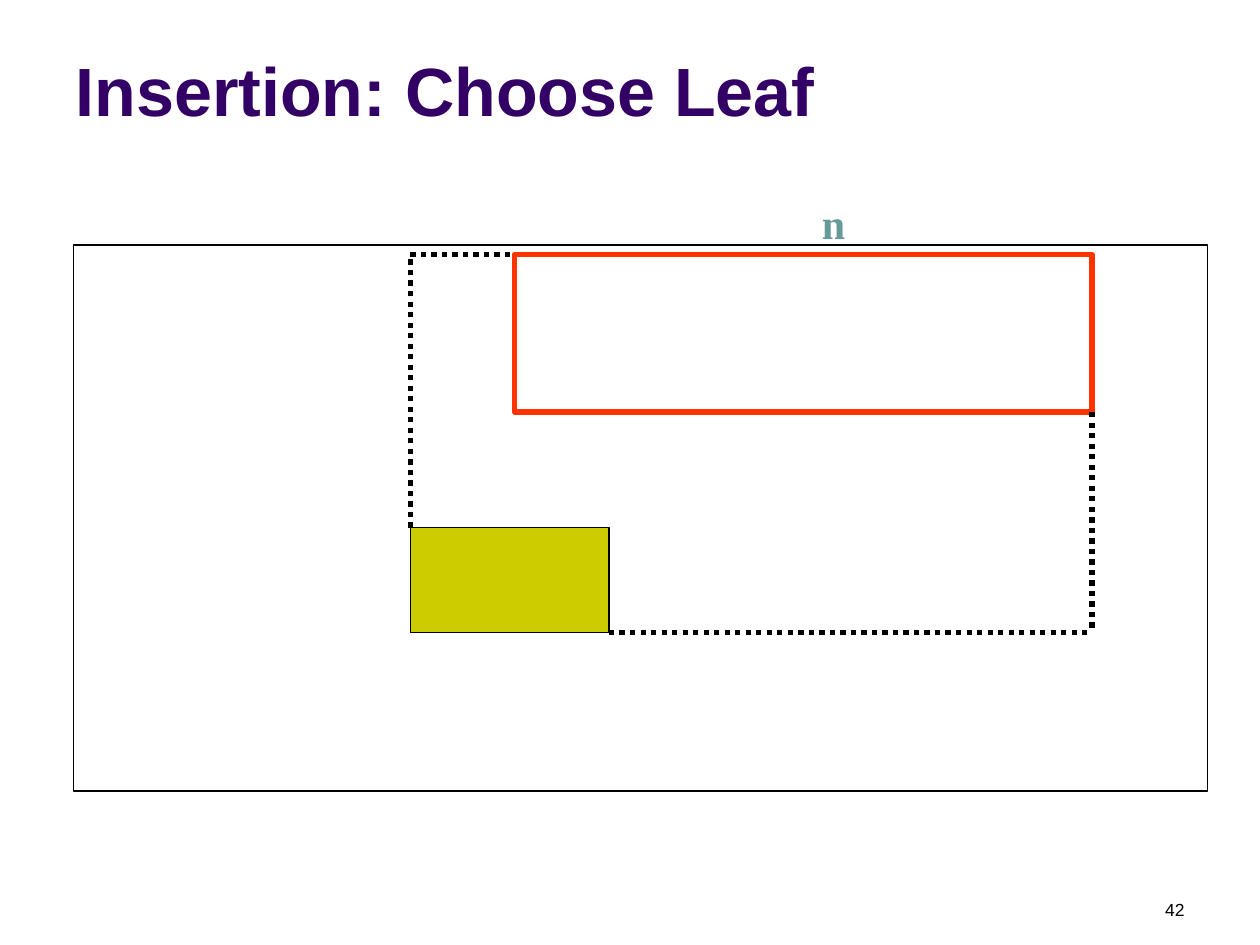
import dataclasses

import pptx
import pptx.dml.color
import pptx.enum.dml
import pptx.enum.shapes
import pptx.enum.text
import pptx.oxml
import pptx.util

Pt = pptx.util.Pt
RGB = pptx.dml.color.RGBColor.from_string
ALIGN = pptx.enum.text.PP_ALIGN
ANCHOR = pptx.enum.text.MSO_ANCHOR


@dataclasses.dataclass(frozen=True)
class Theme:
    """Colours, fonts and sizes of the slide."""
    background: str = "FFFFFF"
    title: str = "330066"
    ink: str = "000000"
    node: str = "FF3300"
    label: str = "669999"
    entry: str = "CCCC00"
    sans: str = "Arial"
    serif: str = "Times New Roman"
    title_size: float = 39
    label_size: float = 24
    number_size: float = 10
    thin: float = 0.75
    thick: float = 3


THEME = Theme()


@dataclasses.dataclass(frozen=True)
class Box:
    """A rectangle in points."""
    left: float
    top: float
    width: float
    height: float

    @property
    def right(self):
        """Return the right edge."""
        return self.left + self.width

    @property
    def bottom(self):
        """Return the bottom edge."""
        return self.top + self.height

    def lengths(self):
        """Return left, top, width and height as lengths."""
        return [Pt(value) for value in dataclasses.astuple(self)]


def write(shape, text, font, size, color, bold=False, align=ALIGN.LEFT, anchor=ANCHOR.TOP):
    """Write one formatted run into a shape and return its paragraph."""
    frame = shape.text_frame
    frame.word_wrap = True
    frame.auto_size = pptx.enum.text.MSO_AUTO_SIZE.NONE
    frame.vertical_anchor = anchor
    para = frame.paragraphs[0]
    para.alignment = align
    span = para.add_run()
    span.text = text
    span.font.name = font
    span.font.size = Pt(size)
    span.font.bold = bold
    span.font.color.rgb = RGB(color)
    return para


def add_title(slide, box, text):
    """Place the slide title in its placeholder."""
    title = slide.shapes.title
    title.left, title.top, title.width, title.height = box.lengths()
    write(title, text, THEME.sans, THEME.title_size, THEME.title, bold=True,
          anchor=ANCHOR.BOTTOM)


def add_rectangle(slide, box, color, width, fill=None):
    """Draw an outlined rectangle, filled if a fill is given."""
    shape = slide.shapes.add_shape(pptx.enum.shapes.MSO_SHAPE.RECTANGLE, *box.lengths())
    shape.shadow.inherit = False
    shape.line.color.rgb = RGB(color)
    shape.line.width = Pt(width)
    if fill:
        shape.fill.solid()
        shape.fill.fore_color.rgb = RGB(fill)
    else:
        shape.fill.background()


def add_label(slide, box, text):
    """Name the node above its top edge."""
    label = slide.shapes.add_textbox(*box.lengths())
    para = write(label, text, THEME.serif, THEME.label_size, THEME.label, bold=True)
    para.space_before = Pt(15)
    label.text_frame.auto_size = pptx.enum.text.MSO_AUTO_SIZE.SHAPE_TO_FIT_TEXT


def add_enlargement(slide, node, entry):
    """Dot the outline that the node needs in order to cover the entry."""
    group = slide.shapes.add_group_shape()
    segments = (
        (entry.left, entry.top, entry.left, node.top),
        (entry.left, node.top, node.left, node.top),
        (entry.right, entry.bottom, node.right, entry.bottom),
        (node.right, node.bottom, node.right, entry.bottom),
    )
    for segment in segments:
        edge = group.shapes.add_connector(
            pptx.enum.shapes.MSO_CONNECTOR.STRAIGHT, *map(Pt, segment))
        edge.line.color.rgb = RGB(THEME.ink)
        edge.line.width = Pt(THEME.thick)
        edge.line.dash_style = pptx.enum.dml.MSO_LINE.ROUND_DOT
        properties = edge.element.spPr
        properties.append(properties.makeelement(pptx.oxml.ns.qn("a:effectLst"), {}))


def add_diagram(slide, box):
    """Draw the space, the chosen node, the new entry and the enlargement."""
    node = Box(box.left + 252, box.top + 5.5, 330, 90)
    entry = Box(box.left + 192.5, box.top + 161.5, 113.5, 60)
    add_rectangle(slide, box, THEME.ink, THEME.thin)
    add_rectangle(slide, node, THEME.node, THEME.thick)
    add_label(slide, Box(node.left + 168.5, node.top - 36, 18.5, 36), "n")
    add_rectangle(slide, entry, THEME.ink, THEME.thin, THEME.entry)
    add_enlargement(slide, node, entry)


def add_number(slide, box, text):
    """Place the slide number at the lower right."""
    number = slide.shapes.add_textbox(*box.lengths())
    write(number, text, THEME.sans, THEME.number_size, THEME.ink, align=ALIGN.RIGHT)


def main():
    """Build and save the deck."""
    deck = pptx.Presentation()
    deck.slide_width, deck.slide_height = Pt(720), Pt(540)
    slide = deck.slides.add_slide(deck.slide_layouts.get_by_name("Title Only"))
    slide.background.fill.solid()
    slide.background.fill.fore_color.rgb = RGB(THEME.background)
    add_title(slide, Box(36, 9.5, 648, 68.5), "Insertion: Choose Leaf")
    add_diagram(slide, Box(42, 140, 648, 312))
    add_number(slide, Box(516, 510, 168, 18), "42")
    deck.save("out.pptx")


if __name__ == "__main__":
    main()
